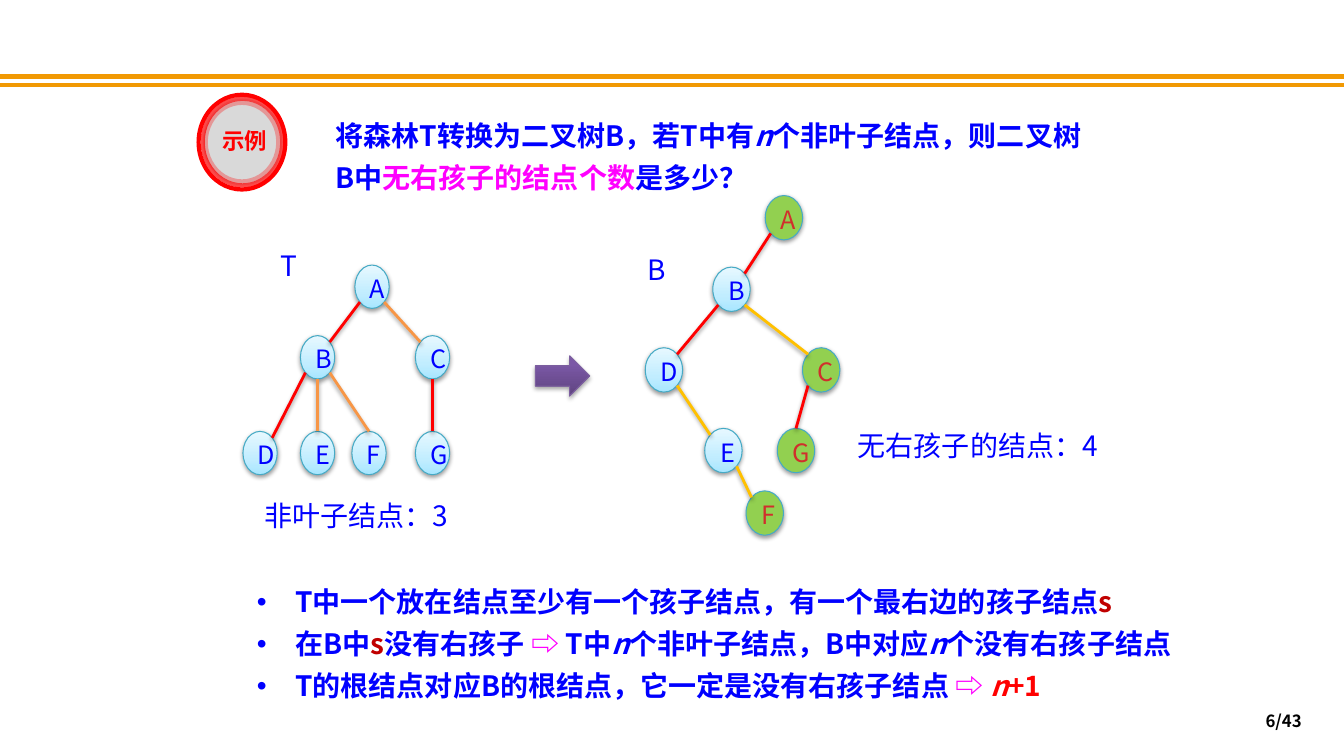
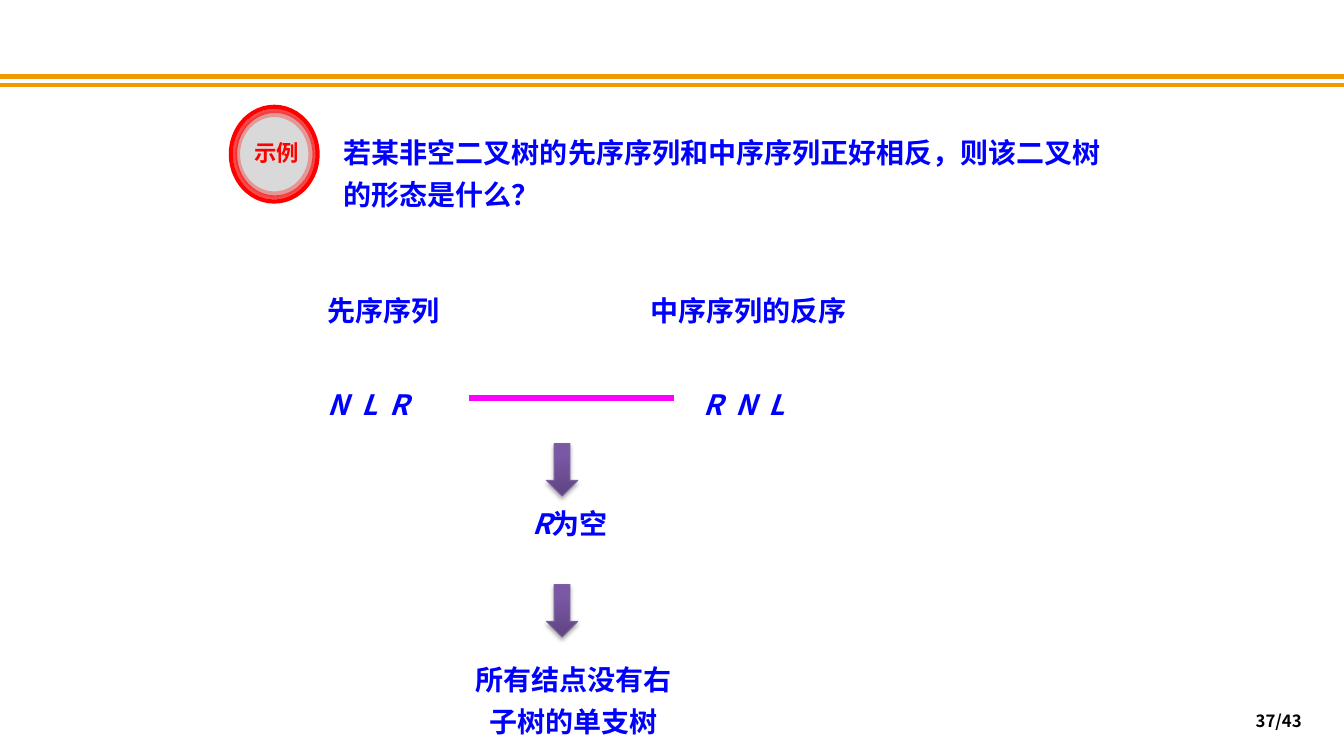
"""Build two lecture slides about binary trees."""
from dataclasses import dataclass
from math import sqrt
from typing import NamedTuple

from pptx import Presentation, oxml, util as u
from pptx.dml import color as dml
from pptx.enum import shapes, text
from pptx.oxml import ns

PX = 9144
DIAGONAL = sqrt(0.5)
SITES = {
    "top": (0, -1),
    "bottom": (0, 1),
    "top left": (-DIAGONAL, -DIAGONAL),
    "top right": (DIAGONAL, -DIAGONAL),
    "bottom left": (-DIAGONAL, DIAGONAL),
    "bottom right": (DIAGONAL, DIAGONAL),
}


@dataclass(frozen=True)
class Theme:
    """Colours, gradients and type sizes of the deck."""
    font: str = "Noto Sans CJK SC"
    blue: str = "0000FF"
    red: str = "FF0000"
    dark_red: str = "C00000"
    magenta: str = "FF00FF"
    black: str = "000000"
    band: str = "F19903"
    orange: str = "F79646"
    gold: str = "FFC000"
    green: str = "92D050"
    green_label: str = "D02F2C"
    node_line: str = "46AAC5"
    arrow_line: str = "7D60A0"
    badge_outer: str = "F8F8F8"
    badge_inner: str = "D9D9D9"
    node_fill: tuple = ((0, "A7E6FF"), (35, "C1EDFF"), (100, "E7F8FF"))
    arrow_fill: tuple = ((0, "5F4480"), (80, "7B58A6"), (100, "7C57A8"))
    body: int = 20
    node: int = 18
    badge: int = 16
    page: int = 12
    leading: int = 30


THEME = Theme()


class Run(NamedTuple):
    """A piece of text with its own look."""
    text: str
    color: str = THEME.blue
    italic: bool = False


class Edge(NamedTuple):
    """A link between two named nodes."""
    parent: str
    child: str
    leave: str
    enter: str
    color: str


def xml(tag, content="", **attributes):
    """Make a drawing element."""
    listed = "".join(f' {name}="{value}"' for name, value in attributes.items())
    return oxml.parse_xml(f'<a:{tag} {ns.nsdecls("a")}{listed}>{content}</a:{tag}>')


def rgb(value):
    """Turn a hex string into a colour."""
    return dml.RGBColor.from_string(value)


def box(*lengths):
    """Turn px lengths into EMU."""
    return [u.Emu(round(length * PX)) for length in lengths]


def set_effect(shape, distance=0, alpha=38):
    """Give a shape a soft shadow below it, or none at all."""
    shadow = ""
    if distance:
        shadow = (f'<a:outerShdw blurRad="40000" dist="{distance}" dir="5400000" rotWithShape="0">'
                  f'<a:srgbClr val="000000"><a:alpha val="{alpha * 1000}"/></a:srgbClr>'
                  '</a:outerShdw>')
    shape._element.spPr.append(xml("effectLst", shadow))


def set_fill(shape, fill):
    """Fill with a colour, upward gradient stops or nothing."""
    if fill is None:
        shape.fill.background()
    elif isinstance(fill, str):
        shape.fill.solid()
        shape.fill.fore_color.rgb = rgb(fill)
    else:
        shape.fill.gradient()
        shape.fill.gradient_angle = 90
        stops = shape._element.spPr.find(".//" + ns.qn("a:gsLst"))
        for stop in list(stops):
            stops.remove(stop)
        for position, value in fill:
            stops.append(xml("gs", f'<a:srgbClr val="{value}"/>', pos=position * 1000))


def set_line(shape, color, width, alpha=100):
    """Set colour, width and opacity of an outline."""
    shape.line.color.rgb = rgb(color)
    shape.line.width = u.Pt(width)
    if alpha < 100:
        value = shape._element.spPr.find(f'{ns.qn("a:ln")}//{ns.qn("a:srgbClr")}')
        value.append(xml("alpha", val=alpha * 1000))


def add_runs(paragraph, runs, size, bold=False, spacing=0):
    """Write runs into a paragraph."""
    for part in runs:
        run = paragraph.add_run()
        run.text = part.text
        run.font.size = u.Pt(size)
        run.font.bold = bold
        run.font.italic = part.italic
        run.font.color.rgb = rgb(part.color)
        run.font.name = THEME.font
        properties = run._r.get_or_add_rPr()
        properties.append(xml("ea", typeface=THEME.font))
        if spacing:
            properties.set("spc", str(spacing))


def add_text(slide, place, paragraphs, size=THEME.body, bold=True, bullets=False,
             align=text.PP_ALIGN.LEFT, leading=u.Pt(THEME.leading), spacing=0):
    """Add a wrapping text box that grows with its text."""
    shape = slide.shapes.add_textbox(*box(*place))
    frame = shape.text_frame
    frame.word_wrap = True
    frame.auto_size = text.MSO_AUTO_SIZE.SHAPE_TO_FIT_TEXT
    for index, runs in enumerate(paragraphs):
        paragraph = frame.add_paragraph() if index else frame.paragraphs[0]
        paragraph.alignment = align
        paragraph.line_spacing = leading
        if bullets:
            properties = paragraph._p.get_or_add_pPr()
            indent = 38 * PX
            properties.set("marL", str(indent))
            properties.set("indent", str(-indent))
            properties.append(xml("buFont", typeface="Arial"))
            properties.append(xml("buChar", char="•"))
        add_runs(paragraph, runs, size, bold, spacing)
    return shape


def add_shape(slide, kind, place, fill, line, width=0.75, alpha=100):
    """Add a preset shape with fill and outline."""
    shape = slide.shapes.add_shape(kind, *box(*place))
    set_fill(shape, fill)
    set_line(shape, line, width, alpha)
    return shape


def add_line(slide, ends, color, width, shadow=0):
    """Add a straight line between two points."""
    line = slide.shapes.add_connector(shapes.MSO_CONNECTOR.STRAIGHT, *box(*ends))
    set_line(line, color, width)
    set_effect(line, shadow)
    return line


def add_arrow(slide, kind, place):
    """Add a purple block arrow."""
    arrow = add_shape(slide, kind, place, THEME.arrow_fill, THEME.arrow_line)
    set_effect(arrow, 23000, 35)


def add_node(slide, place, name, marked):
    """Add one tree node, green when marked."""
    fill = THEME.green if marked else THEME.node_fill
    color = THEME.green_label if marked else THEME.blue
    node = add_shape(slide, shapes.MSO_SHAPE.OVAL, place, fill, THEME.node_line)
    set_effect(node, 20000)
    node.text_frame.vertical_anchor = text.MSO_ANCHOR.MIDDLE
    paragraph = node.text_frame.paragraphs[0]
    paragraph.alignment = text.PP_ALIGN.CENTER
    paragraph.line_spacing = 1.1
    add_runs(paragraph, [Run(name, color)], THEME.node)


def site(corner, size, name):
    """Find a point on the rim of a node."""
    return [start + length / 2 * (1 + shift)
            for start, length, shift in zip(corner, size, SITES[name])]


def add_tree(slide, nodes, size, edges, marked=""):
    """Draw a tree from node corners and edges."""
    for name, corner in nodes.items():
        add_node(slide, (*corner, *size), name, name in marked)
    for edge in edges:
        start = site(nodes[edge.parent], size, edge.leave)
        end = site(nodes[edge.child], size, edge.enter)
        add_line(slide, (*start, *end), edge.color, 2, 20000)


def add_badge(slide, left, top):
    """Add the ringed example badge."""
    rings = [
        ((0, 0, 86, 94), THEME.badge_outer, 100),
        ((4, 4, 79, 86), THEME.badge_inner, 70),
        ((7, 8, 72, 78), None, 30),
    ]
    for (x, y, width, height), fill, alpha in rings:
        ring = add_shape(slide, shapes.MSO_SHAPE.OVAL, (left + x, top + y, width, height),
                         fill, THEME.red, 3, alpha)
        set_effect(ring)
    add_text(slide, (left + 9, top + 25, 73, 40), [[Run("示例", THEME.red)]],
             THEME.badge, align=text.PP_ALIGN.CENTER, leading=1.1)


def add_page(slide, number):
    """Add the page number at the lower right."""
    shape = add_text(slide, (990, 695, 311, 40), [[Run(f"{number}/43", THEME.black)]],
                     THEME.page, align=text.PP_ALIGN.RIGHT, leading=1.0)
    shape.text_frame.auto_size = text.MSO_AUTO_SIZE.NONE
    shape.text_frame.vertical_anchor = text.MSO_ANCHOR.MIDDLE


def add_bands(presentation, slide):
    """Put the double rule on the slide master."""
    for y in (76, 84):
        line = add_line(slide, (0, y, 1333, y), THEME.band, 3)
        presentation.slide_master.shapes._spTree.append(line._element)


def fill_forest_slide(slide):
    """Show a tree, its binary form and the count."""
    n = Run("n", italic=True)
    s = Run("s", THEME.dark_red)
    implies = Run("⇨ ", THEME.magenta)
    add_text(slide, (323, 104, 766, 94), [[
        Run("将森林T转换为二叉树B，若T中有"), n, Run("个非叶子结点，则二叉树B中"),
        Run("无右孩子的结点个数", THEME.magenta), Run("是多少？")]])
    add_arrow(slide, shapes.MSO_SHAPE.RIGHT_ARROW, (531, 353, 54, 40))
    add_tree(slide, {
        "A": (352, 263), "B": (298, 333), "C": (412, 333), "D": (241, 428),
        "E": (298, 428), "F": (349, 428), "G": (412, 428)}, (34, 43), [
        Edge("A", "B", "bottom left", "top right", THEME.red),
        Edge("A", "C", "bottom right", "top left", THEME.orange),
        Edge("B", "D", "bottom left", "top right", THEME.red),
        Edge("B", "E", "bottom", "top", THEME.orange),
        Edge("B", "F", "bottom right", "top", THEME.orange),
        Edge("C", "G", "bottom", "top", THEME.red)])
    add_tree(slide, {
        "A": (759, 194), "B": (707, 265), "C": (796, 345), "D": (640, 345),
        "E": (699, 425), "F": (740, 487), "G": (771, 425)}, (37, 44), [
        Edge("A", "B", "bottom left", "top right", THEME.red),
        Edge("B", "D", "bottom left", "top right", THEME.red),
        Edge("B", "C", "bottom right", "top left", THEME.gold),
        Edge("D", "E", "bottom right", "top left", THEME.gold),
        Edge("E", "F", "bottom right", "top left", THEME.gold),
        Edge("C", "G", "bottom left", "top", THEME.red)], "ACFG")
    for left, top, width, label in [
            (632, 237, 54, "B"), (268, 233, 54, "T"),
            (252, 481, 225, "非叶子结点：3"), (841, 412, 271, "无右孩子的结点：4")]:
        add_text(slide, (left, top, width, 52), [[Run(label)]], bold=False)
    add_text(slide, (245, 567, 945, 136), [
        [Run("T中一个放在结点至少有一个孩子结点，有一个最右边的孩子结点"), s],
        [Run("在B中"), s, Run("没有右孩子 "), implies, Run("T中"), n,
         Run("个非叶子结点，B中对应"), n, Run("个没有右孩子结点")],
        [Run("T的根结点对应B的根结点，它一定是没有右孩子结点 "), implies,
         Run("n", THEME.red, True), Run("+1", THEME.red)]], bullets=True)
    add_badge(slide, 197, 94)


def fill_sequence_slide(slide):
    """Compare two traversals and state the result."""
    for left, top, width, run in [
            (315, 278, 188, Run("先序序列")), (315, 371, 159, Run("N L R", italic=True)),
            (635, 278, 281, Run("中序序列的反序")), (688, 371, 166, Run("R N L", italic=True))]:
        add_text(slide, (left, top, width, 52), [[run]], spacing=220 if run.italic else 0)
    add_line(slide, (465, 395, 668, 395), THEME.magenta, 4.5)
    for top in (440, 580):
        add_arrow(slide, shapes.MSO_SHAPE.DOWN_ARROW, (542, top, 31, 52))
    add_text(slide, (518, 489, 102, 52), [[Run("R", italic=True), Run("为空")]])
    add_text(slide, (448, 644, 242, 94), [[Run("所有结点没有右子树的单支树")]],
             align=text.PP_ALIGN.CENTER)
    add_text(slide, (331, 121, 797, 94),
             [[Run("若某非空二叉树的先序序列和中序序列正好相反，则该二叉树的形态是什么？")]])
    add_badge(slide, 229, 106)


def main():
    """Build and save the deck."""
    presentation = Presentation()
    presentation.slide_width, presentation.slide_height = box(1333, 750)
    blank = presentation.slide_layouts[6]
    for number, fill_slide in [(6, fill_forest_slide), (37, fill_sequence_slide)]:
        slide = presentation.slides.add_slide(blank)
        fill_slide(slide)
        add_page(slide, number)
    add_bands(presentation, slide)
    presentation.save("out.pptx")


if __name__ == "__main__":
    main()
